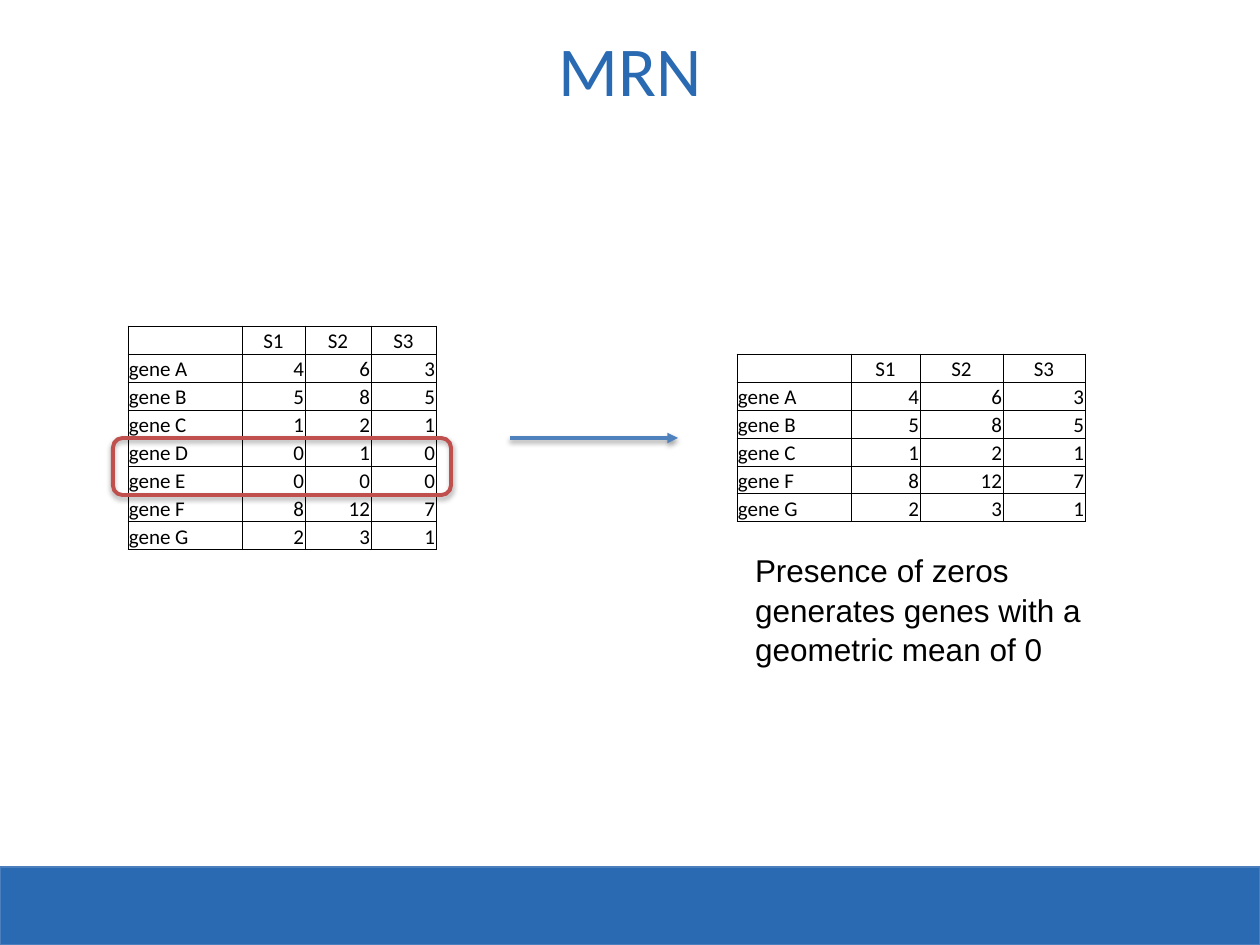
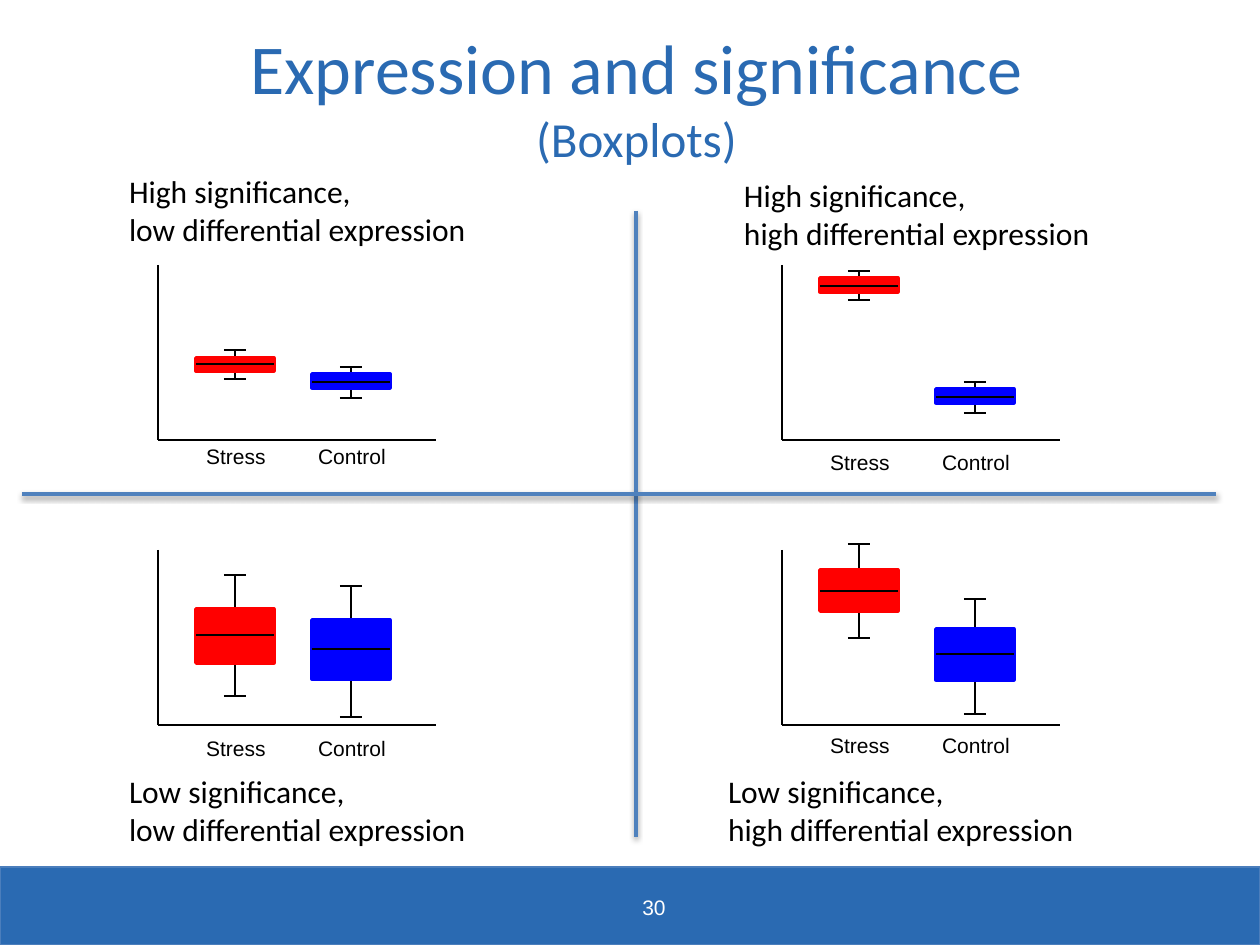
from dataclasses import dataclass

from pptx import Presentation
from pptx.dml.color import RGBColor
from pptx.enum.shapes import MSO_CONNECTOR, MSO_SHAPE as SHAPE
from pptx.enum.text import MSO_ANCHOR as ANCHOR, PP_ALIGN as ALIGN
from pptx.oxml import parse_xml
from pptx.oxml.ns import nsdecls, qn
from pptx.util import Emu, Pt


@dataclass(frozen=True)
class Theme:
    """Colours, fonts and type sizes of the deck."""
    brand: str = "2A6AB2"
    band_edge: str = "4B7EBC"
    accent: str = "4F81BD"
    highlight: str = "C0504D"
    stress: str = "FF0000"
    control: str = "0000FF"
    ink: str = "000000"
    paper: str = "FFFFFF"
    heading_font: str = "Calibri"
    body_font: str = "Arial"
    title: int = 40
    subtitle: int = 28
    body: int = 18
    small: int = 12


THEME = Theme()
EMU_PER_PX = 914400 / 126
PAGE_WIDTH, PAGE_HEIGHT = 1260, 945
ROW_HEIGHT = 28
GROUP_STEP = 116

COUNTS = {
    "gene A": (4, 6, 3),
    "gene B": (5, 8, 5),
    "gene C": (1, 2, 1),
    "gene D": (0, 1, 0),
    "gene E": (0, 0, 0),
    "gene F": (8, 12, 7),
    "gene G": (2, 3, 1),
}

PANELS = [
    {"origin": (158, 265), "label_top": 173, "caption_at": (123, 166),
     "caption": ("High significance,", "low differential expression"),
     "levels": ((85, 93, 99, 106, 114), (102, 109, 117, 123, 133))},
    {"origin": (782, 265), "label_top": 179, "caption_at": (738, 170),
     "caption": ("High significance,", "high differential expression"),
     "levels": ((6, 13, 21, 27, 35), (117, 124, 132, 138, 148))},
    {"origin": (158, 550), "label_top": 180, "caption_at": (123, 766),
     "caption": ("Low significance,", "low differential expression"),
     "levels": ((25, 59, 85, 113, 146), (36, 70, 99, 129, 167))},
    {"origin": (782, 550), "label_top": 177, "caption_at": (722, 766),
     "caption": ("Low significance,", "high differential expression"),
     "levels": ((-6, 20, 41, 61, 88), (49, 79, 104, 130, 164))},
]


def px(*lengths):
    """Turn pixel lengths into a list of EMU lengths."""
    return [Emu(round(length * EMU_PER_PX)) for length in lengths]


def rgb(colour):
    """Turn a hex string into a colour."""
    return RGBColor.from_string(colour)


def write(frame, lines, sizes=(THEME.body,), font=THEME.heading_font, colour=THEME.ink,
          align=ALIGN.LEFT, spacing=None):
    """Write lines into one paragraph; the last size holds for further lines."""
    para = frame.paragraphs[0]
    para.alignment = align
    para.line_spacing = spacing
    for index, line in enumerate(lines):
        if index:
            para.add_line_break()
        span = para.add_run()
        span.text = line
        span.font.size = Pt(sizes[min(index, len(sizes) - 1)])
        span.font.name = font
        span.font.color.rgb = rgb(colour)


def add_text(page, box, lines, inset=6, anchor=ANCHOR.TOP, **style):
    """Add a wrapped text box."""
    frame = page.shapes.add_textbox(*px(*box)).text_frame
    frame.word_wrap = True
    frame.vertical_anchor = anchor
    frame.margin_left, frame.margin_right = px(inset, inset)
    frame.margin_top, frame.margin_bottom = px(6, 6)
    write(frame, lines, **style)


def set_shadow(shape, opacity=0):
    """Replace the theme shadow by a soft one, or by none at zero opacity."""
    shadow = (f'<a:outerShdw blurRad="{Pt(3)}" dist="{Pt(1.6)}" dir="5400000" rotWithShape="0">'
              f'<a:srgbClr val="{THEME.ink}"><a:alpha val="{opacity * 1000}"/></a:srgbClr>'
              '</a:outerShdw>') if opacity else ""
    shape._element.spPr.append(
        parse_xml(f'<a:effectLst {nsdecls("a")}>{shadow}</a:effectLst>'))


def add_line(page, start, end, colour=THEME.ink, width=1.5, shadow=0, arrow=False):
    """Add a straight line, with an arrowhead at its end if asked."""
    line = page.shapes.add_connector(MSO_CONNECTOR.STRAIGHT, *px(*start, *end))
    line.line.color.rgb = rgb(colour)
    line.line.width = Pt(width)
    if arrow:
        line.line._get_or_add_ln().append(
            parse_xml(f'<a:tailEnd {nsdecls("a")} type="triangle"/>'))
    set_shadow(line, shadow)


def add_box(page, box, edge, width, fill=None, kind=SHAPE.RECTANGLE, shadow=0):
    """Add an outlined preset shape, filled if a fill is given."""
    shape = page.shapes.add_shape(kind, *px(*box))
    if fill:
        shape.fill.solid()
        shape.fill.fore_color.rgb = rgb(fill)
    else:
        shape.fill.background()
    shape.line.color.rgb = rgb(edge)
    shape.line.width = Pt(width)
    set_shadow(shape, shadow)


def new_page(deck, title, title_box, number=None):
    """Add a blank page with its title, footer band and page number."""
    page = deck.slides.add_slide(deck.slide_layouts[6])
    add_box(page, (0, 867, PAGE_WIDTH, PAGE_HEIGHT - 867), THEME.band_edge, 0.75, THEME.brand)
    add_text(page, title_box, title, sizes=(THEME.title, THEME.subtitle),
             colour=THEME.brand, align=ALIGN.CENTER)
    if number:
        add_text(page, (507, 888, 294, 38), [number], anchor=ANCHOR.MIDDLE, sizes=(THEME.small,),
                 font=THEME.body_font, colour=THEME.paper, align=ALIGN.CENTER)
    return page


def style_cell(cell, value, align):
    """Fill one cell with text, thin borders and narrow margins."""
    cell.fill.background()
    cell.vertical_anchor = ANCHOR.BOTTOM
    cell.margin_left, cell.margin_right, cell.margin_top, cell.margin_bottom = px(1, 1, 1, 0)
    if value:
        write(cell.text_frame, [value], sizes=(THEME.small,), align=align)
    else:
        mark = cell.text_frame.paragraphs[0]._p.get_or_add_endParaRPr()
        mark.set("sz", str(THEME.small * 100))
    properties = cell._tc.find(qn("a:tcPr"))
    for index, side in enumerate(("lnL", "lnR", "lnT", "lnB")):
        properties.insert(index, parse_xml(
            f'<a:{side} {nsdecls("a")} w="{Pt(0.5)}"><a:solidFill>'
            f'<a:srgbClr val="{THEME.ink}"/></a:solidFill></a:{side}>'))


def count_table(page, origin, widths, genes):
    """Draw the read counts of the given genes."""
    rows = [("", "S1", "S2", "S3")]
    rows += [(gene, *map(str, COUNTS[gene])) for gene in genes]
    size = sum(widths), ROW_HEIGHT * len(rows)
    table = page.shapes.add_table(len(rows), len(widths), *px(*origin, *size)).table
    table.first_row = table.horz_banding = False
    for column, width in zip(table.columns, px(*widths)):
        column.width = width
    for row_index, row in enumerate(rows):
        table.rows[row_index].height = px(ROW_HEIGHT)[0]
        for column_index, value in enumerate(row):
            align = ALIGN.CENTER if row_index == 0 else ALIGN.RIGHT if column_index else ALIGN.LEFT
            style_cell(table.cell(row_index, column_index), value, align)


def zero_filter_page(deck):
    """Show how genes with zeros leave the count table."""
    page = new_page(deck, ["MRN"], (159, 21, 942, 112))
    count_table(page, (128, 326), (114, 63, 66, 65), COUNTS)
    add_line(page, (510, 438), (678, 438), THEME.accent, 2, shadow=38, arrow=True)
    add_box(page, (113, 438, 338, 57), THEME.highlight, 2.25,
            kind=SHAPE.ROUNDED_RECTANGLE, shadow=35)
    kept = [gene for gene, counts in COUNTS.items() if 0 not in counts]
    count_table(page, (737, 354), (114, 69, 83, 82), kept)
    add_text(page, (742, 543, 359, 180),
             ["Presence of zeros generates genes with a geometric mean of 0"],
             inset=13, font=THEME.body_font, spacing=1.05)


def box_and_whiskers(page, left, top, levels, colour):
    """Draw one box with its whiskers, caps and median."""
    group = page.shapes.add_group_shape()
    width, half_cap = 78, 11
    center = left + width // 2
    high, upper, median, lower, low = [top + level for level in levels]
    for box_edge, cap in ((upper, high), (lower, low)):
        add_line(group, (center, box_edge), (center, cap))
        add_line(group, (center - half_cap, cap), (center + half_cap, cap))
    add_box(group, (left, upper, width, lower - upper), colour, 2, colour)
    add_line(group, (left, median), (left + width, median))


def boxplot_panel(page, origin, label_top, caption_at, caption, levels):
    """Draw one quadrant: axes, two boxes, their labels and the caption."""
    left, top = origin
    bottom = top + 175
    add_text(page, (*caption_at, 513, 89), caption)
    add_line(page, (left, top), (left, bottom))
    add_line(page, (left, bottom), (left + 278, bottom))
    groups = (("Stress", THEME.stress), ("Control", THEME.control))
    for index, (label, colour) in enumerate(groups):
        shift = left + index * GROUP_STEP
        box_and_whiskers(page, shift + 38, top, levels[index], colour)
        add_text(page, (shift + 15, top + label_top, 126, 38), [label], sizes=(THEME.small,),
                 font=THEME.body_font, align=ALIGN.CENTER)


def significance_page(deck):
    """Compare significance and differential expression in four quadrants."""
    page = new_page(deck, ["Expression and significance", "(Boxplots)"],
                    (5, 18, 1263, 95), number="30")
    for start, end in (((636, 211), (636, 837)), ((22, 494), (1216, 494))):
        add_line(page, start, end, THEME.accent, 2, shadow=38)
    for panel in PANELS:
        boxplot_panel(page, **panel)


def main():
    """Build and save the deck."""
    deck = Presentation()
    deck.slide_width, deck.slide_height = px(PAGE_WIDTH, PAGE_HEIGHT)
    zero_filter_page(deck)
    significance_page(deck)
    deck.save("out.pptx")


if __name__ == "__main__":
    main()
